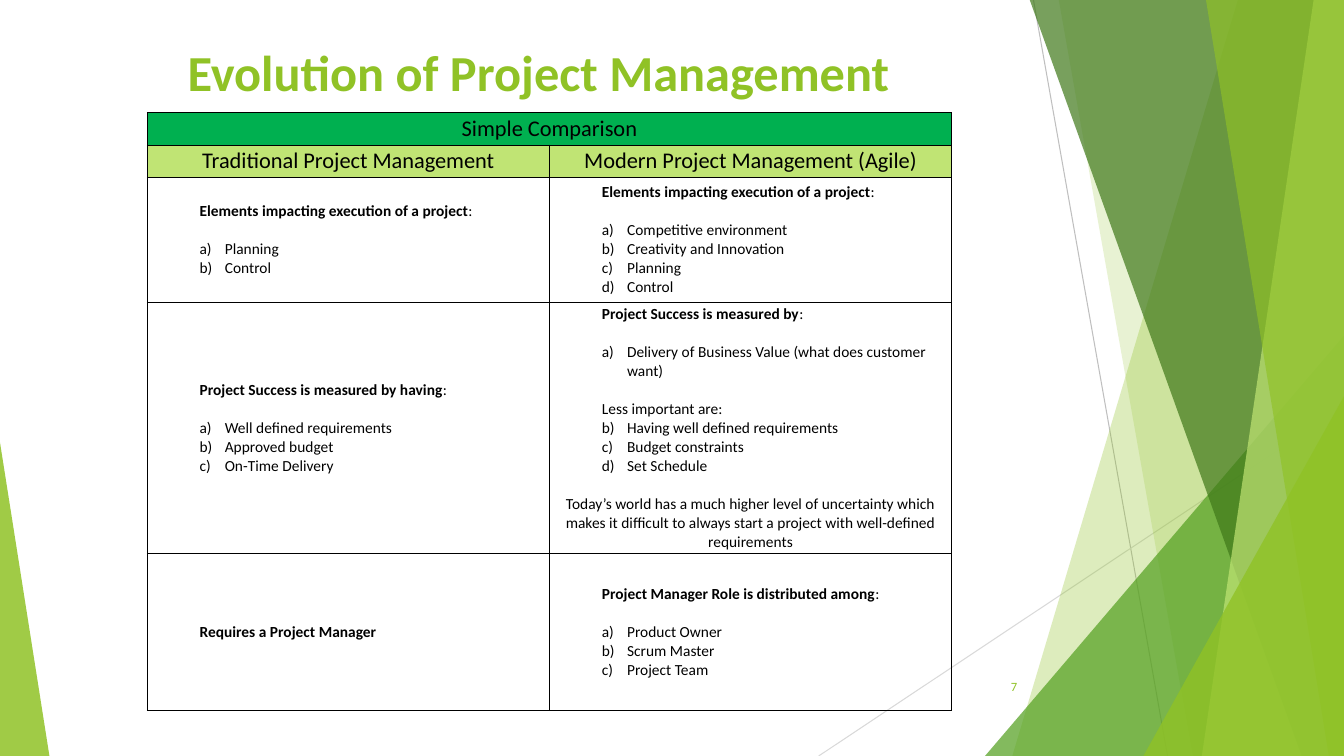
from lxml import etree
from pptx import Presentation
from pptx.dml.color import RGBColor
from pptx.enum.shapes import MSO_CONNECTOR
from pptx.enum.text import MSO_ANCHOR, PP_ALIGN
from pptx.oxml.ns import qn
from pptx.util import Pt

PX = 9144  # 100 px to the inch
STRAIGHT = MSO_CONNECTOR.STRAIGHT
TOP, MIDDLE = MSO_ANCHOR.TOP, MSO_ANCHOR.MIDDLE
LEFT, CENTER, RIGHT = PP_ALIGN.LEFT, PP_ALIGN.CENTER, PP_ALIGN.RIGHT


class Theme:
    font = "Calibri"
    title_size, header_size, body_size, number_size = 36, 16, 11, 9
    blank_line = 13.6
    hairline = 0.75
    text, lime, pale_lime = "000000", "90C226", "C0E474"
    leaf, forest, banner = "54A021", "3F7819", "00B050"
    gray, pale_gray = "BFBFBF", "D9D9D9"


def write(frame, text, size=Theme.body_size, color=Theme.text, bold=False, align=LEFT,
          left=0, first_line=0, number_from=None, space_before=0, tail=""):
    """Add one paragraph to frame; tail follows the text in regular weight."""
    paragraph = frame.paragraphs[0]
    if paragraph.runs:
        paragraph = frame.add_paragraph()
    paragraph.alignment = align
    paragraph.space_before = Pt(space_before)
    properties = paragraph._p.get_or_add_pPr()
    properties.set("marL", str(left * PX))
    properties.set("indent", str(first_line * PX))
    if number_from:
        etree.SubElement(properties, qn("a:buAutoNum"), type="alphaLcParenR",
                         startAt=str(number_from))
    for part, is_bold in ((text, bold), (tail, False)):
        if part:
            run = paragraph.add_run()
            run.text = part
            run.font.name = Theme.font
            run.font.size = Pt(size)
            run.font.bold = is_bold
            run.font.color.rgb = RGBColor.from_string(color)


deck = Presentation()
deck.slide_width, deck.slide_height = 1333 * PX, 750 * PX
slide = deck.slides.add_slide(deck.slide_layouts[6])
shapes = slide.shapes

# Background rays and facets
rays = [
    ((1025, 0, 1158, 750), Theme.gray),
    ((1333, 403, 812, 750), Theme.pale_gray),
]
for ends, color in rays:
    ray = shapes.add_connector(STRAIGHT, *(end * PX for end in ends))
    ray.line.color.rgb = RGBColor.from_string(color)
    ray.line.width = Pt(Theme.hairline)
    etree.SubElement(ray._element.spPr, qn("a:effectLst"))

right_edge = [(1333, -1), (1333, 750)]
facets = [
    ([(1228, -1), *right_edge, (1004, 750)], Theme.lime, 30),
    ([(1050, -1), *right_edge, (1183, 750)], Theme.lime, 20),
    ([(977, 750), (1333, 333), (1333, 750)], Theme.leaf, 72),
    ([(1021, -1), *right_edge, (1291, 750)], Theme.forest, 70),
    ([(1303, -1), *right_edge, (1192, 750)], Theme.pale_lime, 70),
    ([(1196, -1), *right_edge, (1318, 750)], Theme.lime, 65),
    ([(1134, 750), (1333, 393), (1333, 750)], Theme.lime, 80),
    ([(0, 750), (0, 439), (49, 750)], Theme.lime, 85),
]
for points, color, opacity in facets:
    outline = shapes.build_freeform(*points[0], scale=PX)
    outline.add_line_segments(points[1:], close=True)
    facet = outline.convert_to_shape()
    facet.shadow.inherit = False
    facet.line.fill.background()
    facet.fill.solid()
    facet.fill.fore_color.rgb = RGBColor.from_string(color)
    tint = facet._element.spPr.find(qn("a:solidFill"))[0]
    etree.SubElement(tint, qn("a:alpha"), val=str(opacity * 1000))

# Title and slide number
labels = [
    ((181, 36, 729, 57), TOP, "Evolution of Project Management",
     dict(size=Theme.title_size, bold=True)),
    ((990, 669, 24, 24), MIDDLE, "7", dict(size=Theme.number_size, align=RIGHT)),
]
for place, anchor, text, style in labels:
    frame = shapes.add_textbox(*(length * PX for length in place)).text_frame
    frame.word_wrap = True
    frame.vertical_anchor = anchor
    frame.margin_left = frame.margin_right = frame.margin_top = frame.margin_bottom = 5 * PX
    write(frame, text, color=Theme.lime, **style)

# Comparison table: a cell is a list of groups, with a blank line between groups
styles = {
    "header": dict(size=Theme.header_size, align=CENTER),
    "heading": dict(bold=True, first_line=50, tail=":"),
    "statement": dict(bold=True, first_line=50),
    "lead": dict(first_line=50),
    "item": dict(left=75, first_line=-25, number_from=1),
    "item from b": dict(left=75, first_line=-25, number_from=2),
    "note": dict(align=CENTER),
}
comparison = [
    [[[("header", "Simple Comparison")]], []],
    [[[("header", "Traditional Project Management")]],
     [[("header", "Modern Project Management (Agile)")]]],
    [[[("heading", "Elements impacting execution of a project")],
      [("item", "Planning"), ("item", "Control")]],
     [[("heading", "Elements impacting execution of a project")],
      [("item", "Competitive environment"), ("item", "Creativity and Innovation"),
       ("item", "Planning"), ("item", "Control")]]],
    [[[("heading", "Project Success is measured by having")],
      [("item", "Well defined requirements"), ("item", "Approved budget"),
       ("item", "On-Time Delivery")]],
     [[("heading", "Project Success is measured by")],
      [("item", "Delivery of Business Value (what does customer want)")],
      [("lead", "Less important are:"), ("item from b", "Having well defined requirements"),
       ("item from b", "Budget constraints"), ("item from b", "Set Schedule")],
      [("note", "Today’s world has a much higher level of uncertainty which makes it "
                "difficult to always start a project with well-defined requirements")]]],
    [[[("statement", "Requires a Project Manager")]],
     [[("heading", "Project Manager Role is distributed among")],
      [("item", "Product Owner"), ("item", "Scrum Master"), ("item", "Project Team")]]],
]
row_heights = [32, 32, 124, 249, 156]
row_fills = [Theme.banner, Theme.pale_lime, None, None, None]

table = shapes.add_table(5, 2, 146 * PX, 112 * PX, 798 * PX, sum(row_heights) * PX).table
table.horz_banding = table.first_row = False
for column in table.columns:
    column.width = 399 * PX
table.cell(0, 0).merge(table.cell(0, 1))

for r, (cells, height, fill) in enumerate(zip(comparison, row_heights, row_fills)):
    table.rows[r].height = height * PX
    for c, groups in enumerate(cells):
        cell = table.cell(r, c)
        cell.vertical_anchor = MIDDLE
        cell.margin_left = cell.margin_right = cell.margin_top = cell.margin_bottom = 2 * PX
        cell_properties = cell._tc.get_or_add_tcPr()
        for side in ("a:lnL", "a:lnR", "a:lnT", "a:lnB"):
            border = etree.SubElement(cell_properties, qn(side), w=str(Pt(Theme.hairline)))
            stroke = etree.SubElement(border, qn("a:solidFill"))
            etree.SubElement(stroke, qn("a:srgbClr"), val=Theme.text)
        if fill:
            cell.fill.solid()
            cell.fill.fore_color.rgb = RGBColor.from_string(fill)
        else:
            cell.fill.background()
        for g, group in enumerate(groups):
            for p, (style, text) in enumerate(group):
                gap = Theme.blank_line if g and not p else 0
                write(cell.text_frame, text, space_before=gap, **styles[style])

deck.save("out.pptx")
